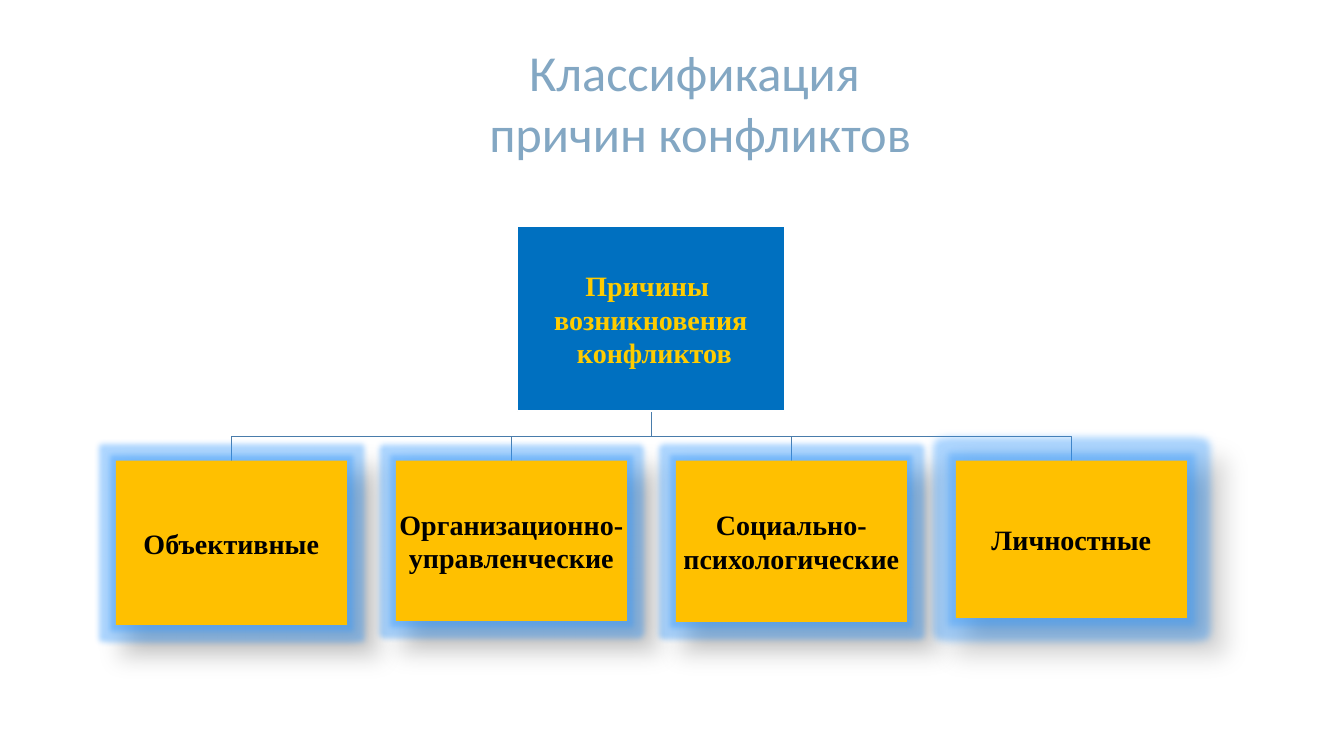
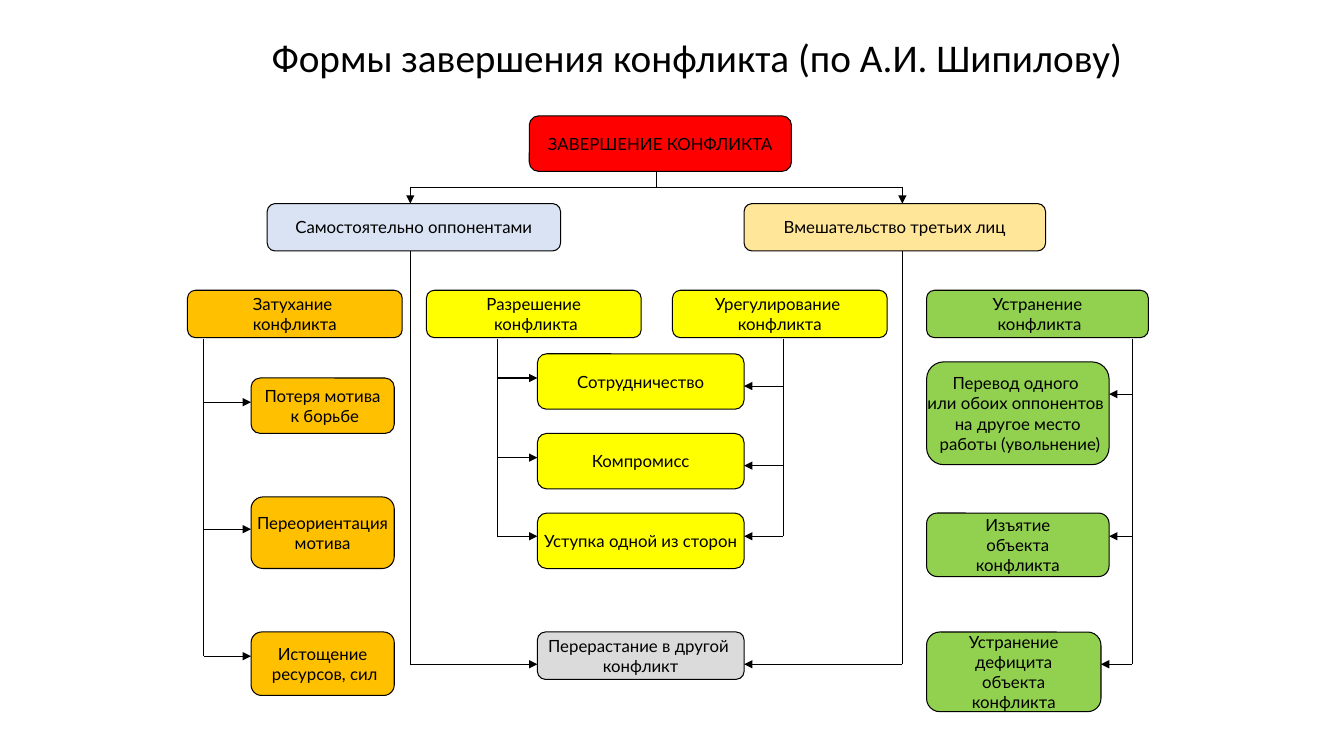
"""Build two slides on the causes of conflicts and the ways they end."""
import lxml.etree
import pptx
import pptx.dml.color
import pptx.enum.shapes
import pptx.enum.text
import pptx.oxml.ns
import pptx.util

Inches = pptx.util.Inches
Pt = pptx.util.Pt
RGBColor = pptx.dml.color.RGBColor
qn = pptx.oxml.ns.qn
SHAPES = pptx.enum.shapes.MSO_SHAPE

BLACK = RGBColor(0x00, 0x00, 0x00)
WHITE = RGBColor(0xFF, 0xFF, 0xFF)
TITLE_BLUE = RGBColor(0x83, 0xA7, 0xC3)
BLUE = RGBColor(0x00, 0x70, 0xC0)
TREE_BLUE = RGBColor(0x49, 0x7C, 0xAB)
GOLD = RGBColor(0xFF, 0xCC, 0x00)
AMBER = RGBColor(0xFF, 0xC0, 0x00)
RED = RGBColor(0xFF, 0x00, 0x00)
PALE_BLUE = RGBColor(0xDA, 0xE3, 0xF3)
SAND = RGBColor(0xFF, 0xE6, 0x99)
YELLOW = RGBColor(0xFF, 0xFF, 0x00)
GREEN = RGBColor(0x92, 0xD0, 0x50)
GREY = RGBColor(0xDB, 0xDB, 0xDB)
GLOW_COLOR = "3399FF"


def add_box(slide, kind, place, text, fill, color, font_name, size, bold=False):
    """Add a centred text box, or a filled shape when a preset is given."""
    left, top, width, height = [Inches(length) for length in place]
    if kind is None:
        box = slide.shapes.add_textbox(left, top, width, height)
    else:
        box = slide.shapes.add_shape(kind, left, top, width, height)
        box.shadow.inherit = False
        box.fill.solid()
        box.fill.fore_color.rgb = fill
        box.text_frame.vertical_anchor = pptx.enum.text.MSO_ANCHOR.MIDDLE
    frame = box.text_frame
    frame.word_wrap = False
    frame.text = text
    for paragraph in frame.paragraphs:
        paragraph.alignment = pptx.enum.text.PP_ALIGN.CENTER
        paragraph.font.name = font_name
        paragraph.font.size = Pt(size)
        paragraph.font.bold = bold
        paragraph.font.color.rgb = color
    return box


def add_line(slide, start, end, arrow=False):
    """Add a thin black line, with an arrowhead at its end if asked."""
    points = [Inches(length) for length in (*start, *end)]
    line = slide.shapes.add_connector(pptx.enum.shapes.MSO_CONNECTOR.STRAIGHT, *points)
    line.line.color.rgb = BLACK
    line.line.width = Pt(0.75)
    properties = line._element.spPr
    if arrow:
        lxml.etree.SubElement(properties.find(qn("a:ln")), qn("a:tailEnd"), type="triangle")
    lxml.etree.SubElement(properties, qn("a:effectLst"))


presentation = pptx.Presentation()
presentation.slide_width = Inches(13.33)
presentation.slide_height = Inches(7.5)

titles = [
    ((2.97, 0.36, 7.95, 1.15), "Классификация \nпричин конфликтов", TITLE_BLUE, 36),
    ((2.34, 0.28, 9.14, 0.67), "Формы завершения конфликта (по А.И. Шипилову)", BLACK, 28),
]
slides = []
for place, text, color, size in titles:
    slide = presentation.slides.add_slide(presentation.slide_layouts[6])
    add_box(slide, None, place, text, None, color, "Calibri", size)
    slides.append(slide)
causes_slide, endings_slide = slides

CAUSE_WIDTH, CAUSE_TOP, CAUSE_STEP = 2.29, 4.57, 2.777
ROOT_CENTER, ROOT_BOTTOM, BUS_Y = 6.46, 4.08, 4.33
causes = [
    ("Объективные", 1.63, 8),
    ("Организационно-\nуправленческие", 1.59, 8),
    ("Социально-\nпсихологические", 1.6, 8),
    ("Личностные", 1.56, 11),
]

for index in range(len(causes)):
    center = 1.15 + index * CAUSE_STEP + CAUSE_WIDTH / 2
    builder = causes_slide.shapes.build_freeform(Inches(ROOT_CENTER), Inches(ROOT_BOTTOM))
    bends = [(ROOT_CENTER, BUS_Y), (center, BUS_Y), (center, CAUSE_TOP)]
    builder.add_line_segments([(Inches(x), Inches(y)) for x, y in bends], close=False)
    branch = builder.convert_to_shape()
    branch.shadow.inherit = False
    branch.fill.background()
    branch.line.color.rgb = TREE_BLUE
    branch.line.width = Pt(1)

root = add_box(causes_slide, SHAPES.RECTANGLE, (5.13, 2.25, 2.65, 1.83),
               "Причины \nвозникновения\n конфликтов", BLUE, GOLD, "Times New Roman", 20, True)
root.line.color.rgb = WHITE
root.line.width = Pt(1)

for index, (text, height, glow_radius) in enumerate(causes):
    place = (1.15 + index * CAUSE_STEP, CAUSE_TOP, CAUSE_WIDTH, height)
    cause = add_box(causes_slide, SHAPES.RECTANGLE, place, text, AMBER, BLACK,
                    "Times New Roman", 20, True)
    cause.line.fill.background()
    effects = cause._element.spPr.find(qn("a:effectLst"))
    glow = lxml.etree.SubElement(effects, qn("a:glow"), rad=str(Pt(glow_radius)))
    shadow = lxml.etree.SubElement(effects, qn("a:outerShdw"), blurRad=str(Pt(15)),
                                   dist=str(Pt(18)), dir="2700000", algn="tl", rotWithShape="0")
    for effect, effect_color, opacity in [(glow, GLOW_COLOR, 40), (shadow, "000000", 30)]:
        tint = lxml.etree.SubElement(effect, qn("a:srgbClr"), val=effect_color)
        lxml.etree.SubElement(tint, qn("a:alpha"), val=str(opacity * 1000))

boxes = [
    (5.25, 1.15, 2.6, 0.55, RED, "ЗАВЕРШЕНИЕ КОНФЛИКТА"),
    (2.65, 2.02, 2.91, 0.47, PALE_BLUE, "Самостоятельно оппонентами"),
    (7.38, 2.02, 2.99, 0.47, SAND, "Вмешательство третьих лиц"),
    (1.86, 2.88, 2.13, 0.47, AMBER, "Затухание \nконфликта"),
    (4.23, 2.88, 2.13, 0.47, YELLOW, "Разрешение\n конфликта"),
    (6.67, 2.88, 2.13, 0.47, YELLOW, "Урегулирование \nконфликта"),
    (9.19, 2.88, 2.2, 0.47, GREEN, "Устранение\n конфликта"),
    (2.49, 3.75, 1.42, 0.55, AMBER, "Потеря мотива\n к борьбе"),
    (2.49, 4.93, 1.42, 0.71, AMBER, "Переориентация\nмотива"),
    (2.49, 6.27, 1.42, 0.63, AMBER, "Истощение\n ресурсов, сил"),
    (5.33, 3.51, 2.05, 0.55, YELLOW, "Сотрудничество"),
    (5.33, 4.3, 2.05, 0.55, YELLOW, "Компромисс"),
    (5.33, 5.09, 2.05, 0.55, YELLOW, "Уступка одной из сторон"),
    (5.33, 6.27, 2.05, 0.47, GREY, "Перерастание в другой \nконфликт"),
    (9.19, 3.59, 1.81, 1.02, GREEN,
     "Перевод одного \nили обоих оппонентов \nна другое место\n работы (увольнение)"),
    (9.19, 5.09, 1.81, 0.63, GREEN, "Изъятие\nобъекта\nконфликта"),
    (9.19, 6.27, 1.73, 0.79, GREEN, "Устранение\nдефицита\nобъекта\nконфликта"),
]
for *place, fill, text in boxes:
    box = add_box(endings_slide, SHAPES.ROUNDED_RECTANGLE, place, text, fill, BLACK, "Lato", 12)
    box.line.color.rgb = BLACK
    box.line.width = Pt(0.75)

SPLIT_Y, LEFT_X, RIGHT_X = 1.86, 4.07, 8.95
add_line(endings_slide, (6.51, 1.7), (6.51, SPLIT_Y))
add_line(endings_slide, (LEFT_X, SPLIT_Y), (RIGHT_X, SPLIT_Y))
for x in (LEFT_X, RIGHT_X):
    add_line(endings_slide, (x, SPLIT_Y), (x, 2.02), arrow=True)

trunks = [
    (LEFT_X, 2.49, [(5.33, 6.59)]),
    (RIGHT_X, 2.49, [(7.38, 6.59)]),
    (2.02, 3.36, [(2.49, 3.99), (2.49, 5.25), (2.49, 6.51)]),
    (4.93, 3.36, [(5.33, 3.75), (5.33, 4.54), (5.33, 5.32)]),
    (7.77, 3.36, [(7.38, 3.83), (7.38, 4.62), (7.38, 5.32)]),
    (11.23, 3.36, [(11, 3.91), (11, 5.32), (10.92, 6.59)]),
]
for x, top, tips in trunks:
    add_line(endings_slide, (x, top), (x, tips[-1][1]))
    for tip in tips:
        add_line(endings_slide, (x, tip[1]), tip, arrow=True)

presentation.save("out.pptx")
